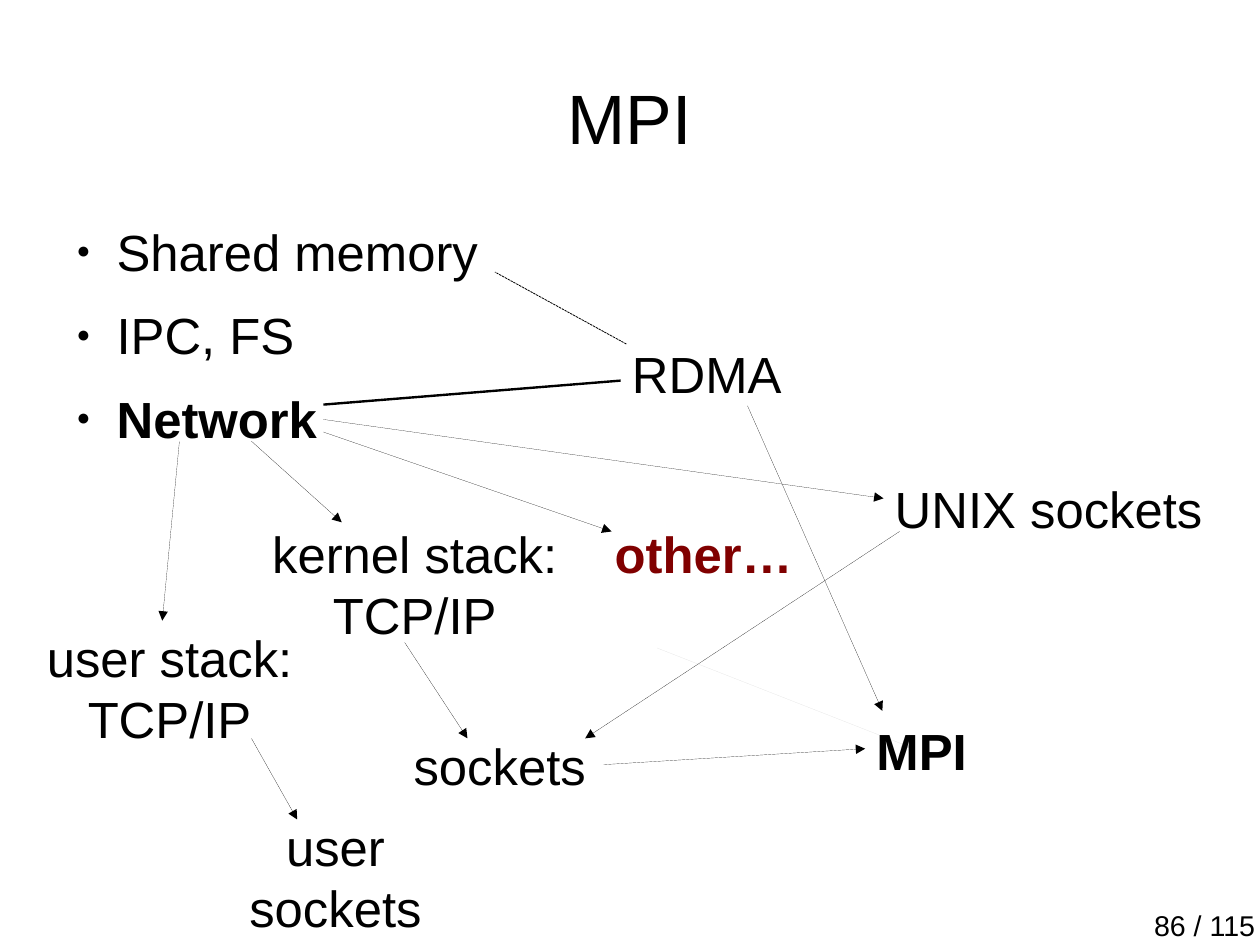
from lxml import etree
from pptx import Presentation
from pptx.dml.color import RGBColor
from pptx.enum.dml import MSO_LINE
from pptx.enum.shapes import MSO_CONNECTOR
from pptx.enum.text import MSO_ANCHOR, MSO_AUTO_SIZE, PP_ALIGN
from pptx.oxml.ns import qn
from pptx.util import Inches, Pt

LEFT, CENTER, RIGHT = PP_ALIGN.LEFT, PP_ALIGN.CENTER, PP_ALIGN.RIGHT
MIDDLE, TOP = MSO_ANCHOR.MIDDLE, MSO_ANCHOR.TOP
GROW, FIXED = MSO_AUTO_SIZE.SHAPE_TO_FIT_TEXT, MSO_AUTO_SIZE.NONE
STRAIGHT, DOTTED = MSO_CONNECTOR.STRAIGHT, MSO_LINE.SQUARE_DOT
LEFT_SIDE = 1
BLACK, MAROON, PALE = "000000", "800000", "DDDDDD"
CM_PER_INCH = 2.54


def rgb(value):
    return RGBColor.from_string(value)


def write(paragraph, text, size=32, color=BLACK, bold=False, align=LEFT):
    paragraph.alignment = align
    run = paragraph.add_run()
    run.text = text
    run.font.name = "Arial"
    run.font.size = Pt(size)
    run.font.bold = bold
    run.font.color.rgb = rgb(color)


def place(shape, box):
    shape.left, shape.top, shape.width, shape.height = map(Inches, box)


def set_frame(frame, inset_x, inset_y, wrap, auto_size, anchor=TOP):
    frame.margin_left = frame.margin_right = Inches(inset_x)
    frame.margin_top = frame.margin_bottom = Inches(inset_y)
    frame.word_wrap = wrap
    frame.auto_size = auto_size
    frame.vertical_anchor = anchor


def add_bullet(paragraph):
    props = paragraph._p.get_or_add_pPr()
    props.set("marL", str(Inches(0.47)))
    props.set("indent", str(Inches(-0.35)))
    color = etree.SubElement(props, qn("a:buClr"))
    etree.SubElement(color, qn("a:srgbClr")).set("val", BLACK)
    etree.SubElement(props, qn("a:buSzPct")).set("val", "45000")
    etree.SubElement(props, qn("a:buChar")).set("char", "●")


def title(slide, box, text):
    shape = slide.shapes.title
    place(shape, box)
    set_frame(shape.text_frame, 0, 0, True, FIXED, MIDDLE)
    write(shape.text_frame.paragraphs[0], text, size=44, align=CENTER)


def transports(slide, box, items):
    body = slide.placeholders[1]
    place(body, box)
    frame = body.text_frame
    set_frame(frame, 0, 0, True, FIXED)
    for index, (text, bold) in enumerate(items):
        paragraph = frame.add_paragraph() if index else frame.paragraphs[0]
        add_bullet(paragraph)
        paragraph.space_before = Pt(14.2 if index else 0)
        write(paragraph, text, bold=bold)


def label(slide, box, lines, **style):
    shape = slide.shapes.add_textbox(*map(Inches, box))
    frame = shape.text_frame
    set_frame(frame, 0.1, 0.05, False, GROW)
    for index, text in enumerate(lines):
        paragraph = frame.add_paragraph() if index else frame.paragraphs[0]
        write(paragraph, text, **style)
    return shape


def link(slide, start, end, color=BLACK, width=0, arrow=True, dash=None):
    connector = slide.shapes.add_connector(STRAIGHT, *map(Inches, start + end))
    connector.line.color.rgb = rgb(color)
    if dash:
        connector.line.dash_style = dash
    outline = connector.line._get_or_add_ln()
    # A hairline needs its zero width written out
    outline.set("w", str(Pt(width)))
    if arrow:
        etree.SubElement(outline, qn("a:tailEnd")).set("type", "triangle")
    etree.SubElement(connector._element.spPr, qn("a:effectLst"))
    return connector


def network_diagram(slide, box):
    left, top, _, _ = box

    def at(x, y):
        return left + x, top + y

    def node(x, y, width, *lines, **style):
        height = 0.1 + 0.5 * len(lines)
        return label(slide, (*at(x, y), width, height), lines, **style)

    # Pale arrow behind the labels
    link(slide, at(5.44, 3.29), at(7.66, 4.16), color=PALE)

    # Labels
    node(1.97, 2.14, 2.7, "kernel stack:", "TCP/IP", align=CENTER)
    node(3.21, 4.0, 1.99, "sockets")
    node(7.42, 1.75, 2.9, "UNIX sockets")
    node(0, 3.05, 2.35, "user stack:", "TCP/IP", align=CENTER)
    node(1.63, 4.71, 1.99, "user", "sockets", align=CENTER)
    node(4.97, 2.14, 1.99, "other…", color=MAROON, bold=True)
    node(5.12, 0.57, 1.99, "RDMA")
    mpi = node(7.26, 3.87, 2.9, "MPI", bold=True)

    # Arrows
    arrows = [
        ((1.89, 1.48), (2.68, 2.19)),  # network to kernel stack
        ((1.26, 1.48), (1.11, 3.05)),  # network to user stack
        ((2.52, 1.29), (7.42, 1.98)),  # network to UNIX sockets
        ((2.52, 1.4), (5.04, 2.27)),   # network to other
        ((3.23, 3.24), (3.78, 4.08)),  # kernel stack to sockets
        ((1.89, 4.08), (2.29, 4.79)),  # user stack to user sockets
        ((7.56, 2.27), (4.81, 4.08)),  # UNIX sockets to sockets
        ((6.23, 1.17), (7.41, 3.84)),  # RDMA to MPI
    ]
    for start, end in arrows:
        link(slide, at(*start), at(*end))
    sockets_to_mpi = link(slide, at(4.97, 4.31), at(7.26, 4.17))
    sockets_to_mpi.end_connect(mpi, LEFT_SIDE)

    # Plain lines from RDMA
    link(slide, at(5.12, 0.95), at(2.52, 1.16), width=1.5, arrow=False)
    link(slide, at(5.17, 0.63), at(4.02, 0), width=0.5, arrow=False, dash=DOTTED)


def main():
    prs = Presentation()
    prs.slide_width = Inches(28 / CM_PER_INCH)
    prs.slide_height = Inches(21 / CM_PER_INCH)
    slide = prs.slides.add_slide(prs.slide_layouts[1])
    title(slide, (0.55, 0.33, 9.92, 1.38), "MPI")
    transports(slide, (0.55, 1.93, 9.92, 4.79),
               [("Shared memory", False), ("IPC, FS", False), ("Network", True)])
    network_diagram(slide, (0.31, 2.38, 10.32, 5.81))
    # Page number
    label(slide, (9.14, 7.89, 1.94, 0.38), ["86 / 115"], size=18, align=RIGHT)
    prs.save("out.pptx")


if __name__ == "__main__":
    main()
